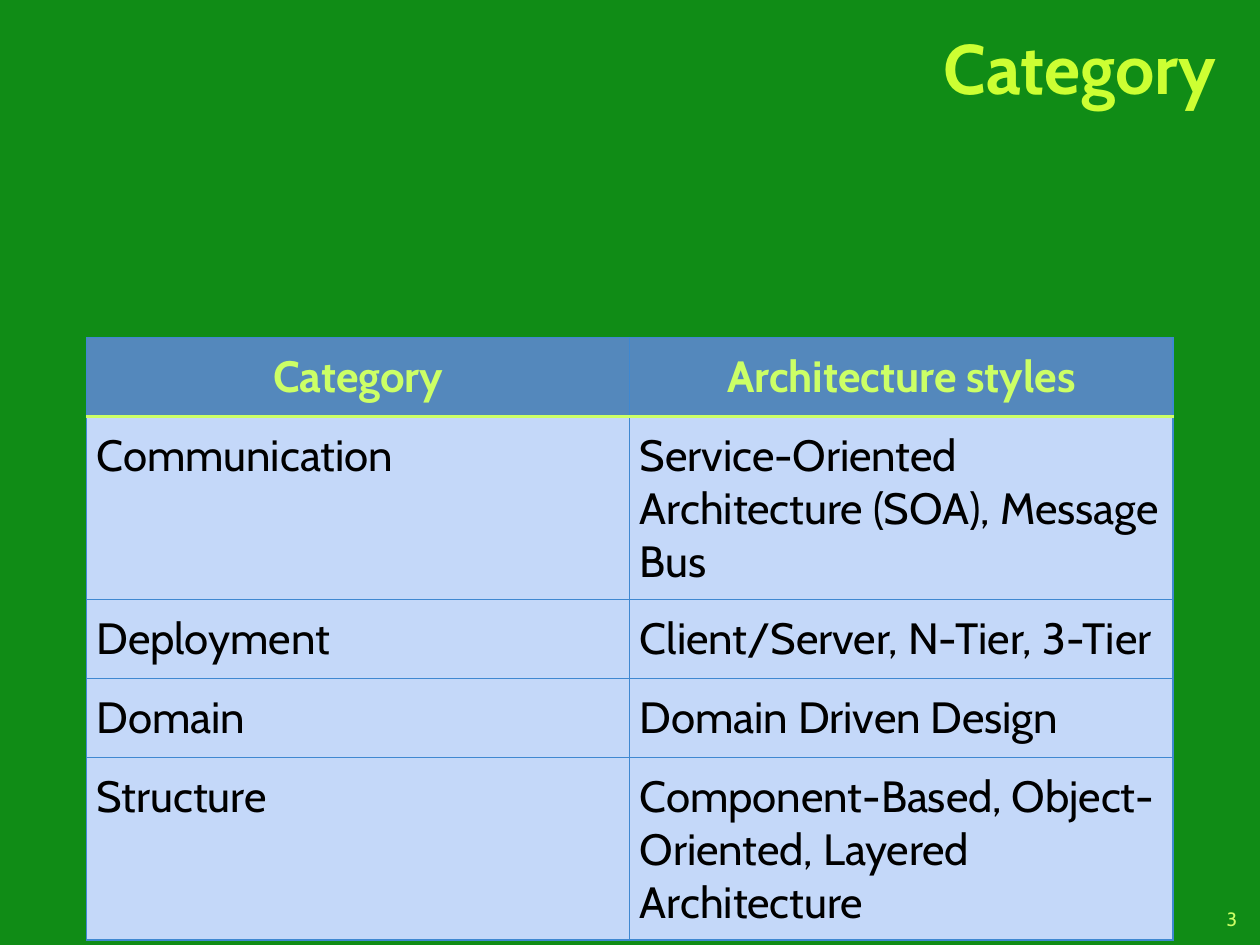
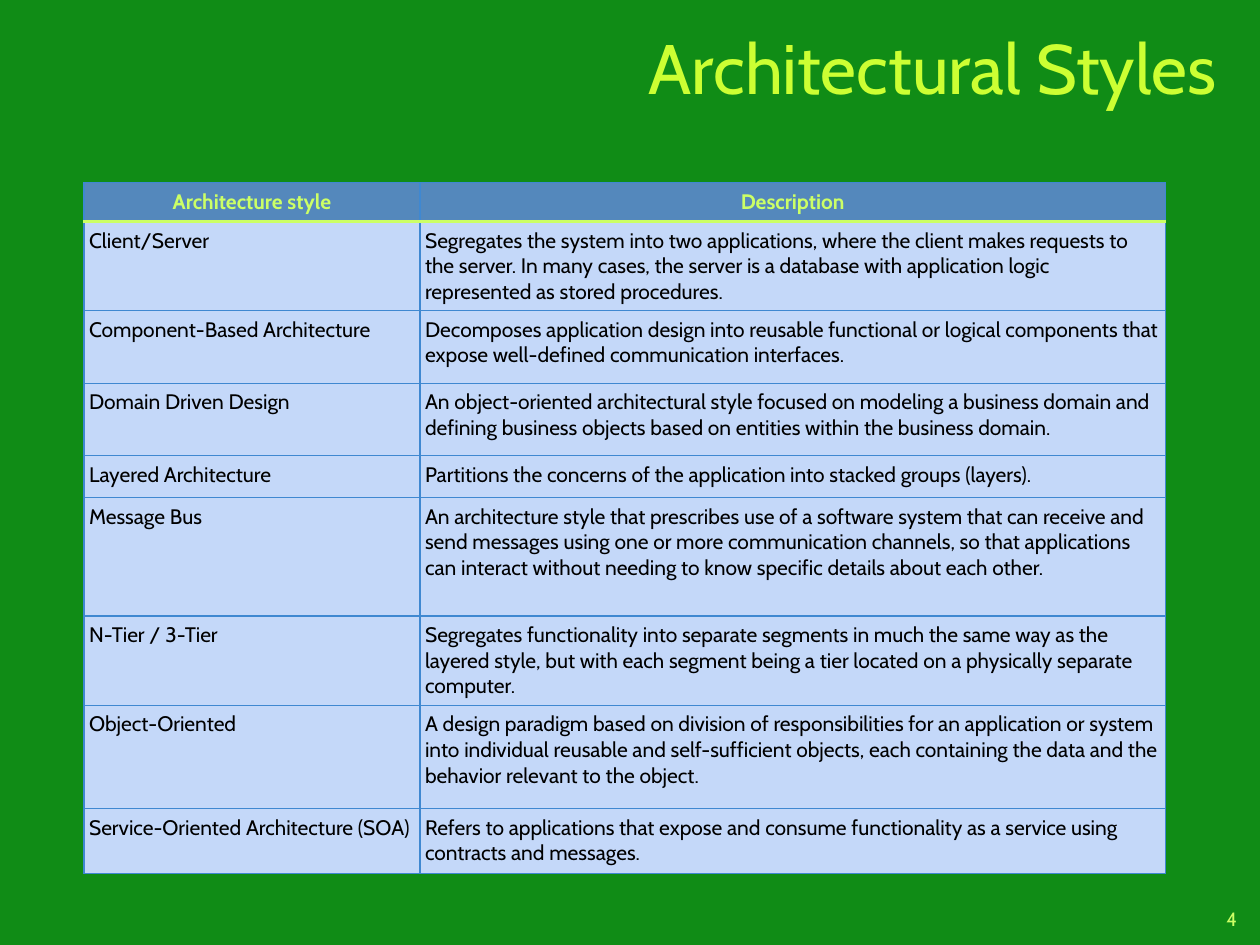
"""Build two slides that tabulate architecture categories and styles."""
import pptx
import pptx.dml.color
import pptx.enum.text
import pptx.oxml.ns
import pptx.util
from lxml import etree

Pt = pptx.util.Pt
ALIGN = pptx.enum.text.PP_ALIGN
ANCHOR = pptx.enum.text.MSO_ANCHOR
FONT = "Cabin"
COLORS = {
    "background": "108C16",
    "title": "CCFF33",
    "accent": "CCFF66",
    "header": "5488BC",
    "body": "C4D8F9",
    "grid": "3F88D1",
    "text": "000000",
}
CATEGORIES = [
    ("Category", "Architecture styles"),
    ("Communication", "Service-Oriented Architecture (SOA), Message Bus"),
    ("Deployment", "Client/Server, N-Tier, 3-Tier"),
    ("Domain", "Domain Driven Design"),
    ("Structure", "Component-Based, Object-Oriented, Layered Architecture"),
]
STYLES = [
    ("Architecture style", "Description"),
    ("Client/Server",
     "Segregates the system into two applications, where the client makes requests to "
     "the server. In many cases, the server is a database with application logic "
     "represented as stored procedures."),
    ("Component-Based Architecture",
     "Decomposes application design into reusable functional or logical components that "
     "expose well-defined communication interfaces."),
    ("Domain Driven Design",
     "An object-oriented architectural style focused on modeling a business domain and "
     "defining business objects based on entities within the business domain."),
    ("Layered Architecture",
     "Partitions the concerns of the application into stacked groups (layers)."),
    ("Message Bus",
     "An architecture style that prescribes use of a software system that can receive and "
     "send messages using one or more communication channels, so that applications "
     "can interact without needing to know specific details about each other."),
    ("N-Tier / 3-Tier",
     "Segregates functionality into separate segments in much the same way as the "
     "layered style, but with each segment being a tier located on a physically separate "
     "computer."),
    ("Object-Oriented",
     "A design paradigm based on division of responsibilities for an application or system "
     "into individual reusable and self-sufficient objects, each containing the data and the "
     "behavior relevant to the object."),
    ("Service-Oriented Architecture (SOA)",
     "Refers to applications that expose and consume functionality as a service using "
     "contracts and messages."),
]


def rgb(name):
    """Return the named palette colour."""
    return pptx.dml.color.RGBColor.from_string(COLORS[name])


def write(text_frame, text, size, color, align, bold=False):
    """Put one formatted paragraph in a text frame and return it."""
    text_frame.text = text
    text_frame.word_wrap = True
    paragraph = text_frame.paragraphs[0]
    paragraph.alignment = align
    font = paragraph.runs[0].font
    font.name, font.size, font.bold = FONT, Pt(size), bold
    font.color.rgb = rgb(color)
    return paragraph


def add_label(slide, box, text, size, color, bold=False):
    """Add a right-aligned, vertically centred text box."""
    text_frame = slide.shapes.add_textbox(*map(Pt, box)).text_frame
    text_frame.vertical_anchor = ANCHOR.MIDDLE
    return write(text_frame, text, size, color, ALIGN.RIGHT, bold)


def add_base_slide(presentation, title, number, bold=False):
    """Add a blank slide with the shared background, title and number."""
    slide = presentation.slides.add_slide(presentation.slide_layouts[6])
    slide.background.fill.solid()
    slide.background.fill.fore_color.rgb = rgb("background")
    paragraph = add_label(slide, (144, 6, 558, 72), title, 40, "title", bold)
    paragraph.line_spacing = Pt(40)
    add_label(slide, (678, 516, 36, 18), str(number), 11, "accent")
    return slide


def add_border(cell, side, color, width):
    """Draw one side of a cell; side is L, R, T or B."""
    qn = pptx.oxml.ns.qn
    properties = cell._tc.get_or_add_tcPr()
    line = etree.SubElement(properties, qn(f"a:ln{side}"), w=str(Pt(width)))
    fill = etree.SubElement(line, qn("a:solidFill"))
    etree.SubElement(fill, qn("a:srgbClr"), val=COLORS[color])


def style_cell(cell, text, row, size, margins):
    """Write a cell and give it header or body formatting."""
    header = row == 0
    accent_side = {0: "B", 1: "T"}.get(row)
    for side in "LRTB":
        color, width = ("accent", 2) if side == accent_side else ("grid", 0.75)
        add_border(cell, side, color, width)
    cell.fill.solid()
    cell.fill.fore_color.rgb = rgb("header" if header else "body")
    horizontal, vertical = margins
    cell.margin_left = cell.margin_right = Pt(horizontal)
    cell.margin_top = cell.margin_bottom = Pt(vertical)
    cell.vertical_anchor = ANCHOR.MIDDLE if header else ANCHOR.TOP
    write(cell.text_frame, text, size, "accent" if header else "text",
          ALIGN.CENTER if header else ALIGN.LEFT, header)


def add_grid(slide, content, left, top, widths, heights, size, margins):
    """Add a table with a header row and thin grid lines."""
    frame = slide.shapes.add_table(
        len(heights), len(widths), Pt(left), Pt(top), Pt(sum(widths)), Pt(sum(heights)))
    table = frame.table
    table.horz_banding = False
    for column, width in zip(table.columns, widths):
        column.width = Pt(width)
    for index, (texts, height) in enumerate(zip(content, heights)):
        table.rows[index].height = Pt(height)
        for cell, text in zip(table.rows[index].cells, texts):
            style_cell(cell, text, index, size, margins)


def main():
    """Build and save the presentation."""
    presentation = pptx.Presentation()
    presentation.slide_width, presentation.slide_height = Pt(720), Pt(540)

    slide = add_base_slide(presentation, "Category", 3, bold=True)
    add_grid(slide, CATEGORIES, 49.5, 192.8, [310.4] * 2,
             [45.2] * len(CATEGORIES), 25, (5.8, 7.2))

    slide = add_base_slide(presentation, "Architectural Styles", 4)
    add_grid(slide, STYLES, 48, 104.5, [192, 426],
             [22, 51, 41.5, 41.5, 23.8, 67.7, 51, 59, 37], 12, (2.9, 3.6))

    presentation.save("out.pptx")


if __name__ == "__main__":
    main()
